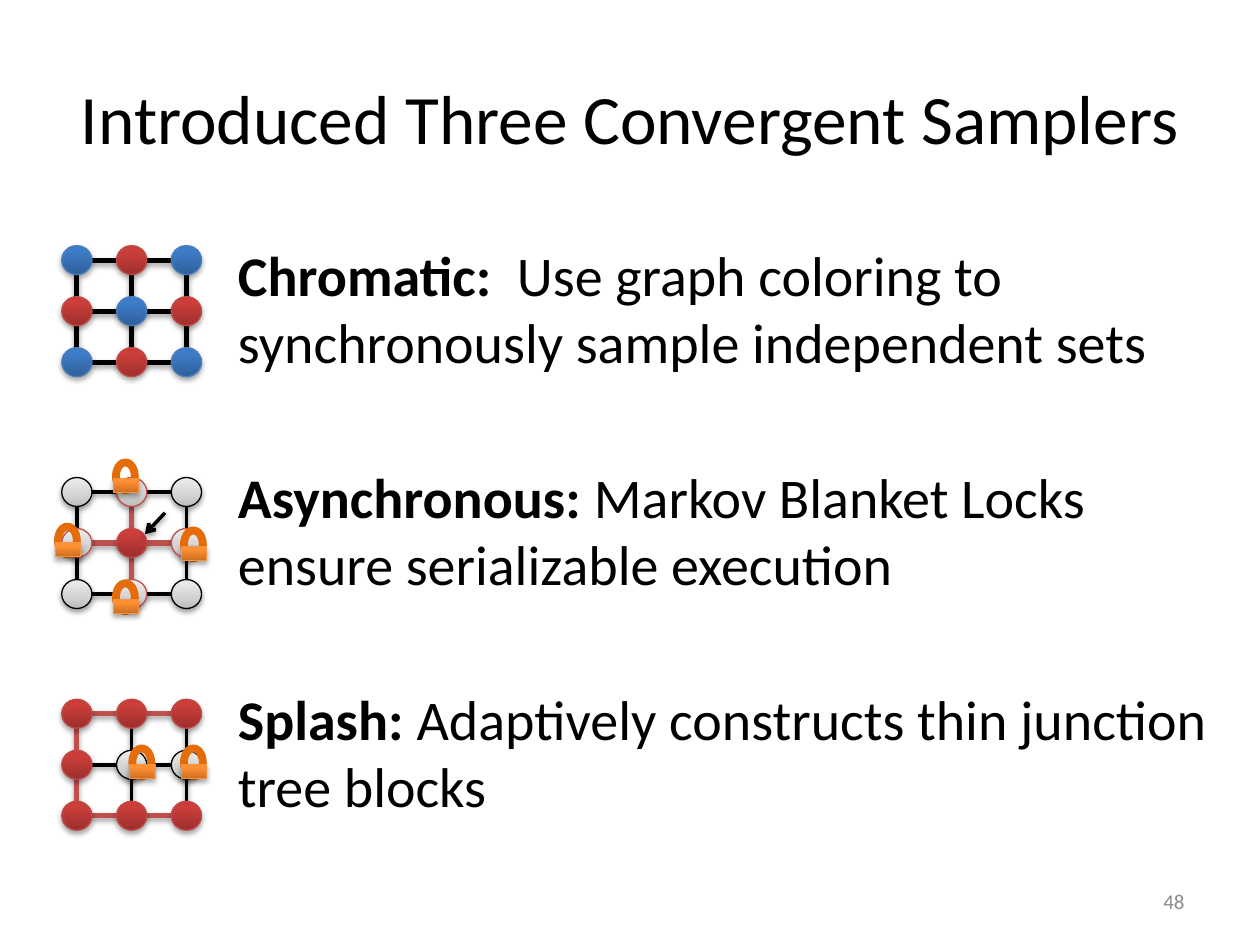
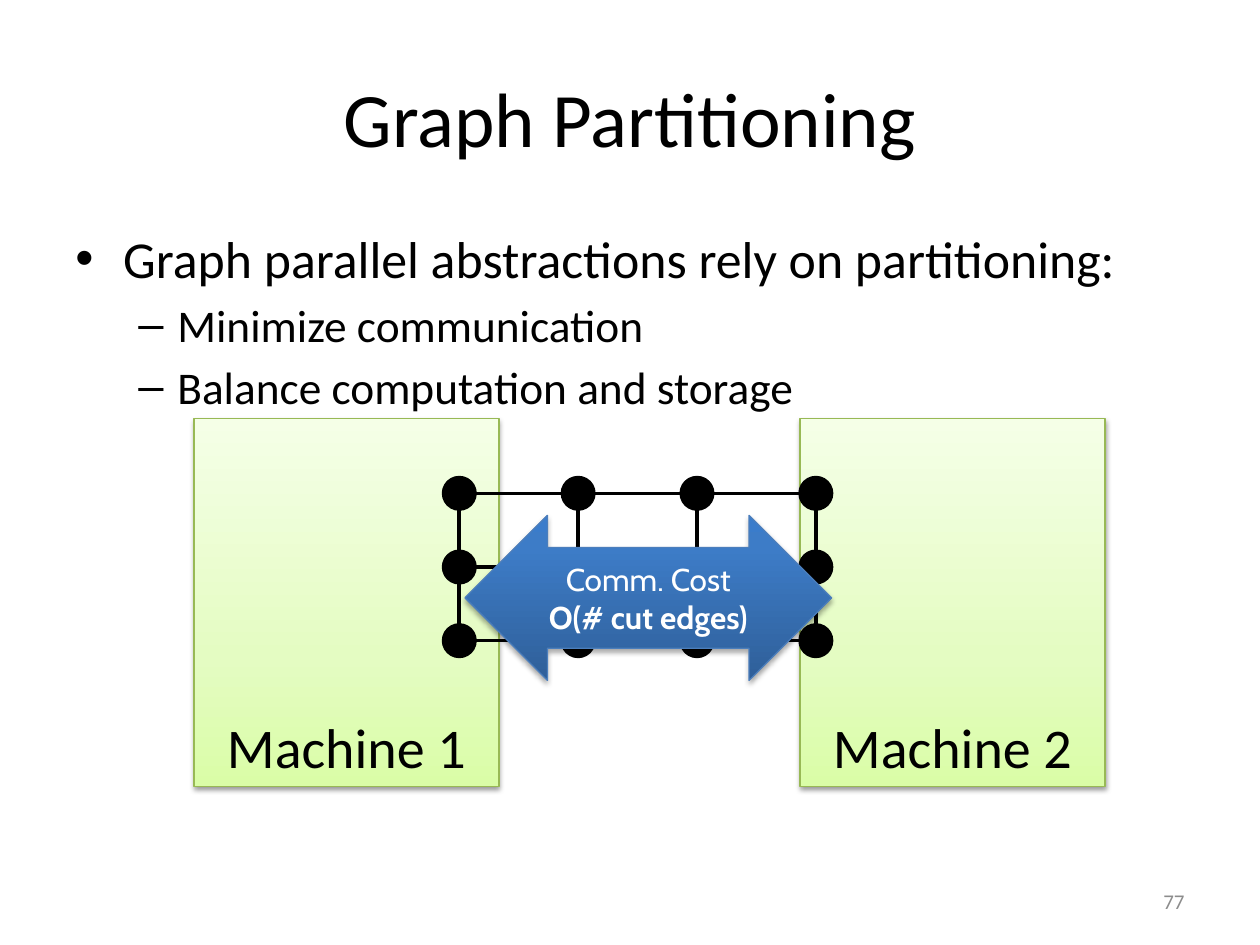
"""Build two slides on parallel sampling: three samplers and graph partitioning."""
from copy import deepcopy
from itertools import product

from lxml.etree import SubElement
from pptx import Presentation
from pptx.dml.color import RGBColor
from pptx.enum.shapes import MSO_CONNECTOR, MSO_SHAPE
from pptx.enum.text import MSO_ANCHOR, PP_ALIGN
from pptx.oxml.ns import qn
from pptx.util import Inches, Pt

BLACK = RGBColor(0x00, 0x00, 0x00)
WHITE = RGBColor(0xFF, 0xFF, 0xFF)
PAGE_GREY = RGBColor(0x8C, 0x8C, 0x8C)
BLUE_EDGE = RGBColor(0x4B, 0x7E, 0xBC)
RED_EDGE = RGBColor(0xBF, 0x4C, 0x48)
BLANKET_RED = RGBColor(0xC0, 0x50, 0x4D)
GREEN_EDGE = RGBColor(0x98, 0xB9, 0x55)
LOCK_EDGE = RGBColor(0xF6, 0x92, 0x40)
SHACKLE = RGBColor(0xE4, 0x6C, 0x0A)

BLUE = ((0, RGBColor(0x2F, 0x5F, 0x99)), (0.8, RGBColor(0x3D, 0x7C, 0xC7)), (1, RGBColor(0x3A, 0x7C, 0xCB)))
RED = ((0, RGBColor(0x9C, 0x2F, 0x2D)), (0.8, RGBColor(0xCB, 0x3E, 0x3A)), (1, RGBColor(0xCE, 0x3B, 0x37)))
GREY = ((0, RGBColor(0xBD, 0xBD, 0xBD)), (0.35, RGBColor(0xD1, 0xD1, 0xD1)), (1, RGBColor(0xEE, 0xEE, 0xEE)))
GREEN = ((0, RGBColor(0xDA, 0xFD, 0xA7)), (0.35, RGBColor(0xE4, 0xFC, 0xC2)), (1, RGBColor(0xF5, 0xFF, 0xE7)))
ORANGE = ((0, RGBColor(0xCC, 0x6E, 0x20)), (0.8, RGBColor(0xFF, 0x90, 0x34)), (1, RGBColor(0xFF, 0x91, 0x36)))

STRONG_SHADOW = (35, 1.8)
SOFT_SHADOW = (38, 1.6)


def paint(part, line, width, shadow=None, gradient=None):
    """Set outline, optional three-stop gradient and optional drop shadow."""
    properties = part._element.spPr
    if gradient:
        part.fill.gradient()
        part.fill.gradient_angle = 90
        stops = properties.find(".//" + qn("a:gsLst"))
        stops.append(deepcopy(stops[-1]))
        for stop, (position, color) in zip(part.fill.gradient_stops, gradient):
            stop.position = position
            stop.color.rgb = color
    part.line.color.rgb = line
    part.line.width = Pt(width)
    effects = SubElement(properties, qn("a:effectLst"))
    if shadow:
        opacity, distance = shadow
        outer = SubElement(effects, qn("a:outerShdw"), blurRad=str(Pt(3.1)), dist=str(Pt(distance)),
                           dir="5400000", rotWithShape="0")
        black = SubElement(outer, qn("a:srgbClr"), val=str(BLACK))
        SubElement(black, qn("a:alpha"), val=str(opacity * 1000))


def write(frame, text, size, color=BLACK, align=PP_ALIGN.CENTER, anchor=MSO_ANCHOR.MIDDLE):
    """Fill a text frame with one line in the deck font."""
    frame.word_wrap = True
    frame.vertical_anchor = anchor
    line = frame.paragraphs[0]
    line.text = text
    line.alignment = align
    line.font.name = "Calibri"
    line.font.size = Pt(size)
    line.font.color.rgb = color


deck = Presentation()
deck.slide_width, deck.slide_height = Inches(10), Inches(7.5)

slides = []
for title, margin, size, page in (("Introduced Three Convergent Samplers", 0.24, 39.6, "48"),
                                  ("Graph Partitioning", 0.5, 44, "77")):
    slide = deck.slides.add_slide(deck.slide_layouts[6])
    heading = slide.shapes.add_textbox(Inches(margin), Inches(0.3), deck.slide_width - 2 * Inches(margin), Inches(1.25))
    write(heading.text_frame, title, size)
    footer = slide.shapes.add_textbox(Inches(7.17), Inches(6.95), Inches(2.33), Inches(0.4))
    write(footer.text_frame, page, 12, PAGE_GREY, PP_ALIGN.RIGHT)
    slides.append(slide)
samplers, partitioning = slides

summary = samplers.shapes.add_textbox(Inches(1.79), Inches(1.86), Inches(7.95), Inches(4.95)).text_frame
summary.word_wrap = True
for index, (name, idea) in enumerate((
        ("Chromatic:", "  Use graph coloring to synchronously sample independent sets"),
        ("Asynchronous:", " Markov Blanket Locks ensure serializable execution"),
        ("Splash:", " Adaptively constructs thin junction tree blocks"))):
    entry = summary.add_paragraph() if index else summary.paragraphs[0]
    if index:
        entry.space_before = Pt(50)
    entry.font.name = "Calibri"
    entry.font.size = Pt(32)
    entry.font.color.rgb = BLACK
    label = entry.add_run()
    label.text = name
    label.font.bold = True
    entry.add_run().text = idea

NODE_STYLES = {
    "B": (BLUE_EDGE, 0.75, STRONG_SHADOW, BLUE),
    "R": (RED_EDGE, 0.75, STRONG_SHADOW, RED),
    "W": (BLACK, 0.75, SOFT_SHADOW, GREY),
    "P": (BLANKET_RED, 0.75, SOFT_SHADOW, GREY),
}
EDGE_STYLES = {
    "thick": (BLACK, 3, STRONG_SHADOW),
    "thin": (BLACK, 2, SOFT_SHADOW),
    "red": (BLANKET_RED, 3, STRONG_SHADOW),
}
GRID_LEFT, COLUMN, ROW = 0.49, 0.87 / 2, 0.81 / 2
NODE_WIDTH, NODE_HEIGHT = 0.24, 0.23

lattices = []
for top, nodes, row_edges, column_edges, locks in (
        (1.95, ("BRB", "RBR", "BRB"), ("thick",) * 3, ("thick",) * 3, ()),
        (3.79, ("WPW", "PRP", "WPW"), ("thin", "red", "thin"), ("thin", "red", "thin"),
         ((0.46, 4.18), (0.92, 4.63), (1.46, 4.21), (0.92, 3.67))),
        (5.55, ("RRR", "RWW", "RRR"), ("red", "thin", "red"), ("red", "thin", "thin"),
         ((1.05, 5.94), (1.46, 5.94)))):
    lattice = samplers.shapes.add_group_shape().shapes
    for step, (across, down) in enumerate(zip(row_edges, column_edges)):
        y = top + step * ROW + NODE_HEIGHT / 2
        x = GRID_LEFT + step * COLUMN + NODE_WIDTH / 2
        for style, ends in (
                (across, (GRID_LEFT + NODE_WIDTH, y, GRID_LEFT + 2 * COLUMN, y)),
                (down, (x, top + NODE_HEIGHT, x, top + 2 * ROW))):
            edge = lattice.add_connector(MSO_CONNECTOR.STRAIGHT, *map(Inches, ends))
            paint(edge, *EDGE_STYLES[style])
    for row, column in product(range(3), repeat=2):
        node = lattice.add_shape(MSO_SHAPE.OVAL, Inches(GRID_LEFT + column * COLUMN), Inches(top + row * ROW),
                                 Inches(NODE_WIDTH), Inches(NODE_HEIGHT))
        paint(node, *NODE_STYLES[nodes[row][column]])
    for x, y in locks:
        shackle = lattice.add_shape(MSO_SHAPE.OVAL, Inches(x), Inches(y), Inches(0.15), Inches(0.22))
        shackle.fill.background()
        paint(shackle, SHACKLE, 4.5)
        lock_body = lattice.add_shape(MSO_SHAPE.RECTANGLE, Inches(x - 0.02), Inches(y + 0.13), Inches(0.2), Inches(0.11))
        paint(lock_body, LOCK_EDGE, 0.75, STRONG_SHADOW, ORANGE)
    lattices.append(lattice)

pointer = lattices[1].add_connector(MSO_CONNECTOR.STRAIGHT, *map(Inches, (1.31, 4.07, 1.15, 4.24)))
paint(pointer, *EDGE_STYLES["thin"])
SubElement(pointer.line._get_or_add_ln(), qn("a:tailEnd"), type="arrow")

goals = partitioning.shapes.add_textbox(Inches(0.5), Inches(1.75), Inches(9), Inches(1.42)).text_frame
goals.word_wrap = True
for index, (text, level, bullet, size, indent, hanging) in enumerate((
        ("Graph parallel abstractions rely on partitioning:", 0, "•", 29.6, 0.38, 0.38),
        ("Minimize communication", 1, "–", 25.9, 0.81, 0.31),
        ("Balance computation and storage", 1, "–", 25.9, 0.81, 0.31))):
    goal = goals.add_paragraph() if index else goals.paragraphs[0]
    goal.text = text
    goal.level = level
    if index:
        goal.space_before = Pt(4.5)
    layout = goal._p.get_or_add_pPr()
    layout.set("marL", str(Inches(indent)))
    layout.set("indent", str(-Inches(hanging)))
    SubElement(layout, qn("a:buFont"), typeface="Arial")
    SubElement(layout, qn("a:buChar"), char=bullet)
    goal.font.name = "Calibri"
    goal.font.size = Pt(size)
    goal.font.color.rgb = BLACK

for name, left in (("Machine 1", 1.54), ("Machine 2", 6.35)):
    machine = partitioning.shapes.add_shape(MSO_SHAPE.RECTANGLE, Inches(left), Inches(3.32), Inches(2.42), Inches(2.92))
    paint(machine, GREEN_EDGE, 0.75, SOFT_SHADOW, GREEN)
    write(machine.text_frame, name, 32, anchor=MSO_ANCHOR.BOTTOM)

DOT = 0.25
dot_lefts = [3.52 + column * 2.83 / 3 for column in range(4)]
dot_tops = [3.79 + row * 1.17 / 2 for row in range(3)]
links = [(left + DOT / 2, dot_tops[0] + DOT, left + DOT / 2, dot_tops[-1]) for left in dot_lefts]
links += [(dot_lefts[start] + DOT, top + DOT / 2, dot_lefts[start + 2], top + DOT / 2)
          for top, start in product(dot_tops, range(2))]
graph = partitioning.shapes.add_group_shape().shapes
for ends in links:
    paint(graph.add_connector(MSO_CONNECTOR.STRAIGHT, *map(Inches, ends)), BLACK, 2)
for top, left in product(dot_tops, dot_lefts):
    dot = graph.add_shape(MSO_SHAPE.OVAL, Inches(left), Inches(top), Inches(DOT), Inches(DOT))
    dot.fill.solid()
    dot.fill.fore_color.rgb = BLACK
    paint(dot, BLACK, 2)

cost = partitioning.shapes.add_shape(MSO_SHAPE.LEFT_RIGHT_ARROW, Inches(3.69), Inches(4.09), Inches(2.91), Inches(1.31))
cost.adjustments[0], cost.adjustments[1] = 0.61, 0.5
paint(cost, BLUE_EDGE, 0.75, STRONG_SHADOW, BLUE)
write(cost.text_frame, "Comm. Cost", 18, WHITE)
cost.text_frame.margin_left = cost.text_frame.margin_right = 0
cost_line = cost.text_frame.paragraphs[0]
cost_line.font.name = "Cabin"
cost_line.add_line_break()
bound = cost_line.add_run()
bound.text = "O(# cut edges)"
bound.font.bold = True

deck.save("out.pptx")
